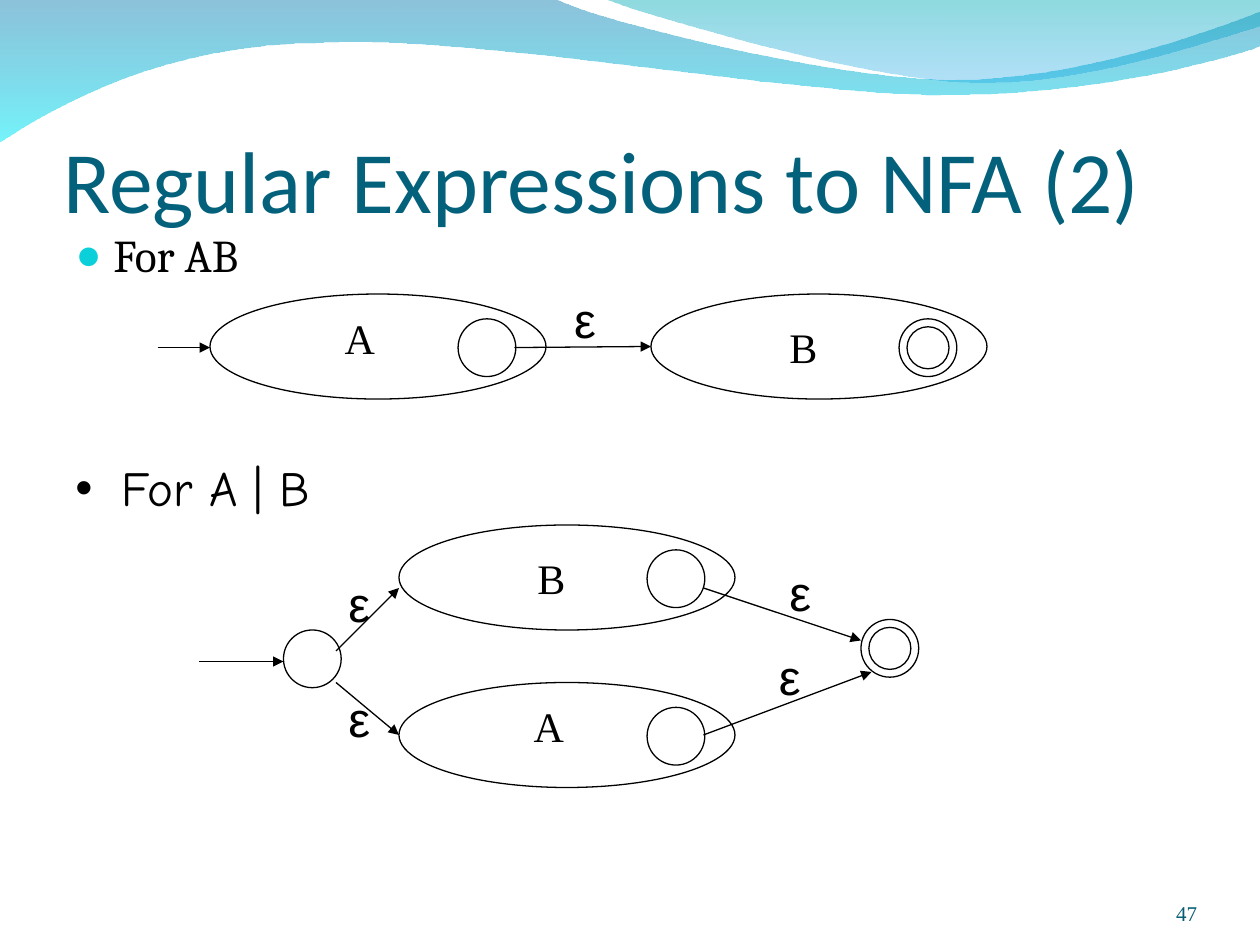
from dataclasses import dataclass
from typing import NamedTuple

from lxml.etree import SubElement
from pptx import Presentation
from pptx.dml.color import RGBColor
from pptx.enum.shapes import MSO_CONNECTOR, MSO_SHAPE
from pptx.enum.text import MSO_ANCHOR, MSO_AUTO_SIZE, PP_ALIGN
from pptx.oxml.ns import qn
from pptx.slide import Slide
from pptx.text.text import TextFrame, _Paragraph
from pptx.util import Emu, Inches, Pt

WIDTH, HEIGHT = Inches(10), Inches(7.5)
CELL = WIDTH / 120
WAVE_UNIT = WIDTH / 1000
STATE_SIZE = 5.5
ACCEPT_SIZE, ACCEPT_INSET = 4, 0.75
MACHINE_WIDTH, MACHINE_HEIGHT = 32, 10


class Lettering(NamedTuple):
    font: str
    size: float
    color: str


class Stop(NamedTuple):
    color: str
    opacity: int


@dataclass(frozen=True)
class Theme:
    ink: str = "000000"
    bullet: str = "0BD0D9"
    line_width: float = 0.75
    title: Lettering = Lettering("Calibri", 50, "04617B")
    concatenation: Lettering = Lettering("Cambria", 26, "000000")
    alternation: Lettering = Lettering("Comic Neue", 28, "000000")
    machine: Lettering = Lettering("Times New Roman", 24, "000000")
    epsilon: Lettering = Lettering("Arial", 28, "000000")
    page: Lettering = Lettering("Times New Roman", 12, "045C75")
    long_wave: tuple[Stop, Stop] = (Stop("0079AF", 45), Stop("00EBF8", 55))
    short_wave: tuple[Stop, Stop] = (Stop("00ADB6", 45), Stop("009BE5", 30))


THEME = Theme()


class Point(NamedTuple):
    col: float
    row: float


class Label(NamedTuple):
    text: str
    offset: Point
    width: float


LABEL_A = Label("A", Point(11.65, 1.15), 5.3)
LABEL_B = Label("B", Point(12, 2), 5)


@dataclass(frozen=True)
class Machine:
    corner: Point
    label: Label
    accepting: bool = False


@dataclass(frozen=True)
class Automaton:
    machines: tuple[Machine, ...]
    arrows: tuple[tuple[Point, Point], ...]
    epsilons: tuple[Point, ...]
    start: Point | None = None
    accept: Point | None = None


CONCATENATION = Automaton(
    machines=(Machine(Point(20, 28), LABEL_A), Machine(Point(62, 28), LABEL_B, True)),
    arrows=((Point(15, 33.1), Point(20, 33.1)), (Point(49, 33.1), Point(62, 33))),
    epsilons=(Point(53.5, 27),),
)
ALTERNATION = Automaton(
    machines=(Machine(Point(38, 65), LABEL_A), Machine(Point(38, 50), LABEL_B)),
    arrows=(
        (Point(19, 63), Point(27, 63)),
        (Point(32, 65), Point(38, 70)),
        (Point(32, 62), Point(38, 56)),
        (Point(67, 70), Point(83, 64)),
        (Point(67, 56), Point(82, 61)),
    ),
    epsilons=(Point(73, 61), Point(32, 54), Point(32, 65), Point(74, 53)),
    start=Point(27, 60),
    accept=Point(82, 59),
)

LONG_WAVE = (
    [(0, -1)],
    [(440, -1)],
    [(476, 17), (664, 63), (758, 63)],
    [(853, 63), (958, 26), (1000, 9)],
    [(1001, 36)],
    [(983, 44), (870, 76), (746, 75)],
    [(622, 75), (382, 28), (257, 34)],
    [(129, 35), (46, 83), (-1, 113)],
)
SHORT_WAVE = (
    [(479, -1)],
    [(509, 11), (682, 62), (769, 65)],
    [(856, 69), (961, 32), (1000, 21)],
    [(1000, 0)],
)


def grid(cells: float) -> Emu:
    return Emu(round(cells * CELL))


def write(paragraph: _Paragraph, text: str, style: Lettering) -> None:
    run = paragraph.add_run()
    run.text = text
    run.font.name = style.font
    run.font.size = Pt(style.size)
    run.font.color.rgb = RGBColor.from_string(style.color)


def set_margins(frame: TextFrame, side: float, top: float, bottom: float) -> None:
    frame.margin_left = frame.margin_right = Inches(side)
    frame.margin_top, frame.margin_bottom = Inches(top), Inches(bottom)


def write_bullet(frame: TextFrame, text: str, style: Lettering, mark: str,
                 color: str, percent: int, indent: float) -> None:
    frame.word_wrap = True
    frame.auto_size = MSO_AUTO_SIZE.NONE
    paragraph = frame.paragraphs[0]
    paragraph.space_before = Pt(0)
    properties = paragraph._p.get_or_add_pPr()
    properties.set("marL", str(Inches(indent)))
    properties.set("indent", str(-Inches(indent)))
    SubElement(SubElement(properties, qn("a:buClr")), qn("a:srgbClr"), val=color)
    SubElement(properties, qn("a:buSzPct"), val=str(percent * 1000))
    SubElement(properties, qn("a:buFont"), typeface="Arial")
    SubElement(properties, qn("a:buChar"), char=mark)
    write(paragraph, text, style)


def draw_wave(slide: Slide, segments: tuple, stops: tuple[Stop, Stop]) -> None:
    ends = [segment[-1] for segment in segments]
    builder = slide.shapes.build_freeform(*ends[0], scale=WAVE_UNIT)
    builder.add_line_segments(ends[1:], close=True)
    wave = builder.convert_to_shape()
    left, top = (min(axis) for axis in zip(*ends))
    edges = list(wave._element.spPr.iter(qn("a:lnTo")))
    for edge, segment in zip(edges, segments[1:]):
        if len(segment) == 3:
            curve = SubElement(edge.getparent(), qn("a:cubicBezTo"))
            for x, y in segment:
                SubElement(curve, qn("a:pt"), x=str(x - left), y=str(y - top))
            edge.getparent().replace(edge, curve)
    wave.shadow.inherit = False
    wave.line.fill.background()
    wave.fill.gradient()
    wave.fill.gradient_angle = 270
    for gradient_stop, stop in zip(wave.fill.gradient_stops, stops):
        gradient_stop.color.rgb = RGBColor.from_string(stop.color)
    for color, stop in zip(wave._element.spPr.iter(qn("a:srgbClr")), stops):
        SubElement(color, qn("a:alpha"), val=str(stop.opacity * 1000))


def draw_oval(slide: Slide, corner: Point, width: float, height: float) -> None:
    oval = slide.shapes.add_shape(MSO_SHAPE.OVAL, *map(grid, (*corner, width, height)))
    oval.shadow.inherit = False
    oval.fill.background()
    oval.line.color.rgb = RGBColor.from_string(THEME.ink)
    oval.line.width = Pt(THEME.line_width)


def draw_state(slide: Slide, corner: Point, accepting: bool = False) -> None:
    if accepting:
        inner = Point(corner.col + ACCEPT_INSET, corner.row + ACCEPT_INSET)
        draw_oval(slide, inner, ACCEPT_SIZE, ACCEPT_SIZE)
    draw_oval(slide, corner, STATE_SIZE, STATE_SIZE)


def draw_label(slide: Slide, text: str, corner: Point, width: float, height: float,
               style: Lettering) -> None:
    label = slide.shapes.add_textbox(*map(grid, (*corner, width, height)))
    label.text_frame.word_wrap = False
    label.text_frame.auto_size = MSO_AUTO_SIZE.SHAPE_TO_FIT_TEXT
    write(label.text_frame.paragraphs[0], text, style)


def draw_arrow(slide: Slide, tail: Point, tip: Point) -> None:
    arrow = slide.shapes.add_connector(MSO_CONNECTOR.STRAIGHT, *map(grid, (*tail, *tip)))
    arrow.line.color.rgb = RGBColor.from_string(THEME.ink)
    arrow.line.width = Pt(THEME.line_width)
    SubElement(arrow.line._get_or_add_ln(), qn("a:tailEnd"), type="triangle")
    SubElement(arrow._element.spPr, qn("a:effectLst"))


def draw_automaton(slide: Slide, automaton: Automaton) -> None:
    for machine in automaton.machines:
        (col, row), label = machine.corner, machine.label
        draw_oval(slide, machine.corner, MACHINE_WIDTH, MACHINE_HEIGHT)
        draw_label(slide, label.text, Point(col + label.offset.col, row + label.offset.row),
                   label.width, 6, THEME.machine)
        draw_state(slide, Point(col + 23.63, row + 2.37), machine.accepting)
    if automaton.start:
        draw_state(slide, automaton.start)
    if automaton.accept:
        draw_state(slide, automaton.accept, True)
    for tail, tip in automaton.arrows:
        draw_arrow(slide, tail, tip)
    for corner in automaton.epsilons:
        draw_label(slide, "ε", corner, 4.45, 6.8, THEME.epsilon)


def main() -> None:
    deck = Presentation()
    deck.slide_width, deck.slide_height = WIDTH, HEIGHT
    slide = deck.slides.add_slide(deck.slide_layouts[1])
    draw_wave(slide, LONG_WAVE, THEME.long_wave)
    draw_wave(slide, SHORT_WAVE, THEME.short_wave)

    title = slide.shapes.title
    title.left, title.top, title.width, title.height = map(grid, (6, 7, 108, 15))
    heading = title.text_frame
    heading.auto_size = MSO_AUTO_SIZE.NONE
    heading.vertical_anchor = MSO_ANCHOR.BOTTOM
    set_margins(heading, 0, 0.05, 0)
    heading.paragraphs[0].alignment = PP_ALIGN.LEFT
    write(heading.paragraphs[0], "Regular Expressions to NFA (2)", THEME.title)

    body = slide.placeholders[1]
    body.left, body.top, body.width, body.height = map(grid, (6, 21, 109, 7))
    write_bullet(body.text_frame, "For AB", THEME.concatenation, "●", THEME.bullet, 95, 0.3)
    draw_automaton(slide, CONCATENATION)

    choice = slide.shapes.add_textbox(*map(grid, (6, 43, 109, 7)))
    write_bullet(choice.text_frame, "For A | B", THEME.alternation, "•", THEME.ink, 100, 0.37)
    draw_automaton(slide, ALTERNATION)

    page = slide.shapes.add_textbox(*map(grid, (104, 83.4, 10, 4.8))).text_frame
    page.word_wrap = True
    page.vertical_anchor = MSO_ANCHOR.BOTTOM
    set_margins(page, 0, 0, 0)
    page.paragraphs[0].alignment = PP_ALIGN.RIGHT
    write(page.paragraphs[0], "47", THEME.page)
    deck.save("out.pptx")


if __name__ == "__main__":
    main()
